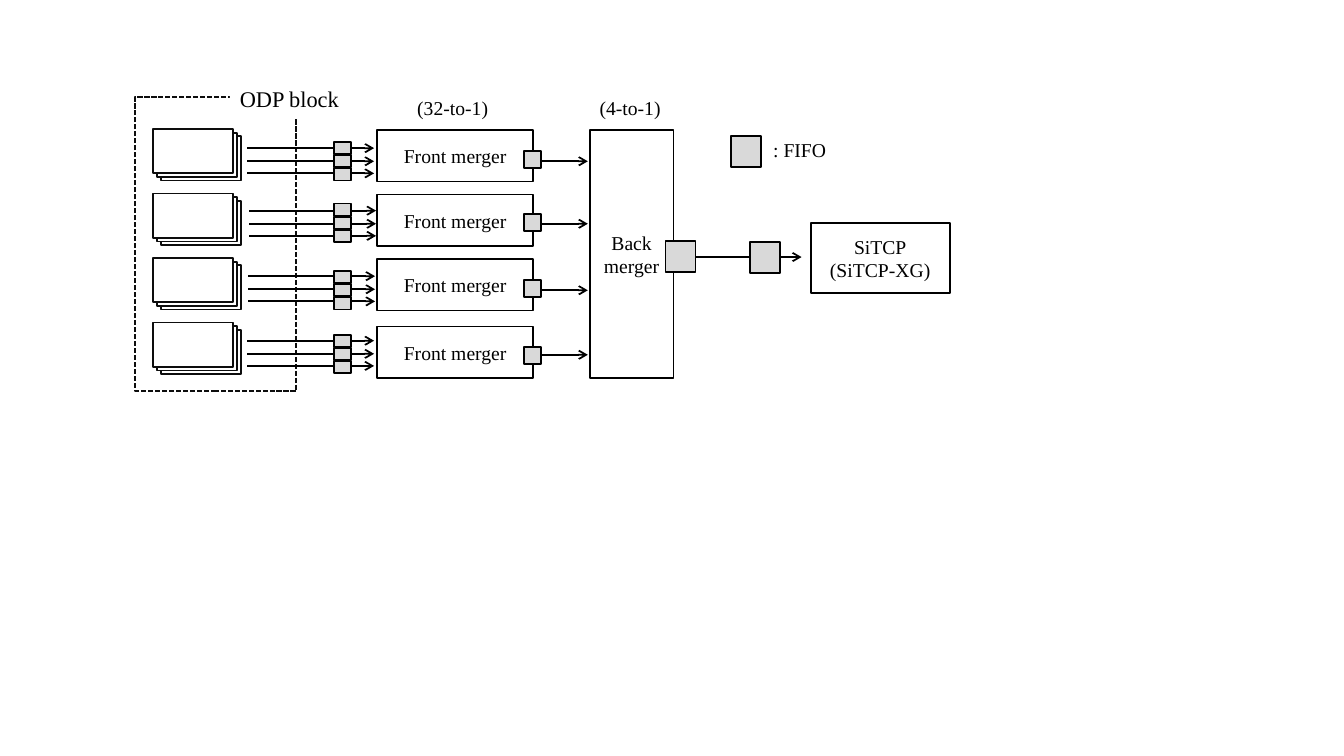
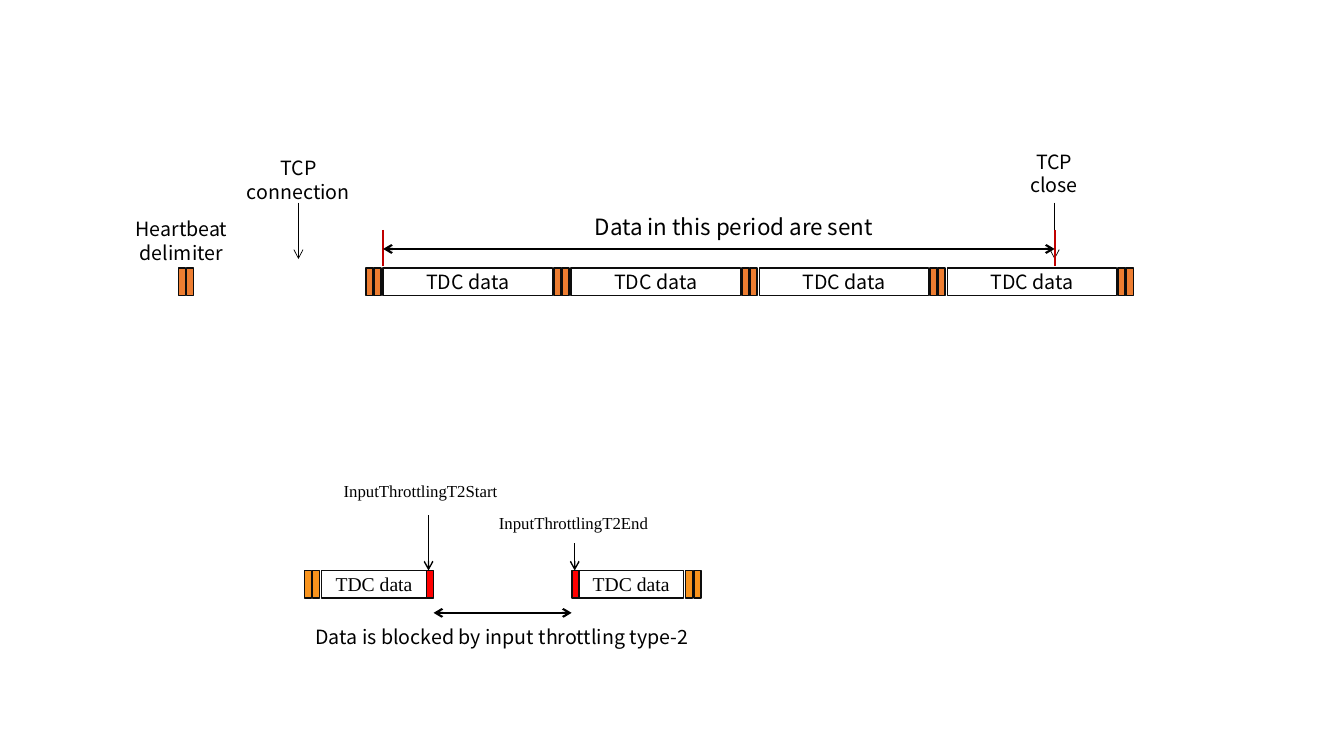
from typing import NamedTuple

from lxml.etree import SubElement
from pptx import Presentation
from pptx.dml.color import RGBColor
from pptx.enum.dml import MSO_LINE
from pptx.enum.shapes import MSO_CONNECTOR, MSO_SHAPE
from pptx.enum.text import MSO_ANCHOR, PP_ALIGN
from pptx.oxml.ns import qn
from pptx.util import Inches, Pt

COLORS = {
    "black": "000000",
    "outline": "0D0D0D",
    "white": "FFFFFF",
    "fifo": "D9D9D9",
    "delimiter": "ED7D31",
    "throttled": "F8931D",
    "throttle": "FF0000",
    "period": "C00000",
}
SERIF = "Times New Roman"
SANS = "Noto Sans CJK JP"
SANS_LINE_RATIO = 1.22


class MergerRow(NamedTuple):
    card_top: float
    merger_top: float
    input_left: float
    input_y: float
    fifo_top: float
    output_y: float
    output_fifo_top: float


MERGER_ROWS = [
    MergerRow(1.28, 1.29, 2.45, 1.47, 1.41, 1.6, 1.5),
    MergerRow(1.92, 1.93, 2.47, 2.09, 2.02, 2.22, 2.12),
    MergerRow(2.56, 2.57, 2.46, 2.74, 2.69, 2.88, 2.78),
    MergerRow(3.2, 3.24, 2.45, 3.38, 3.32, 3.52, 3.44),
]


class Diagram:
    def __init__(self, presentation):
        self.presentation = presentation
        self.slide = None

    def new_slide(self):
        self.slide = self.presentation.slides.add_slide(self.presentation.slide_layouts[6])

    def color(self, name):
        return RGBColor.from_string(COLORS[name])

    def set_text(self, frame, lines, font, size, align):
        frame.word_wrap = True
        for index, line in enumerate(lines):
            paragraph = frame.paragraphs[0] if index == 0 else frame.add_paragraph()
            paragraph.text = line
            paragraph.alignment = align
            paragraph.font.name = font
            paragraph.font.size = Pt(size)
            paragraph.font.color.rgb = self.color("black")
            if font == SANS:
                paragraph.line_spacing = Pt(round(size * SANS_LINE_RATIO, 1))

    def box(self, left, top, width, height, fill="white", line="black", weight=1.25,
            lines=(), font=SERIF, size=14, dashed=False):
        shape = self.slide.shapes.add_shape(
            MSO_SHAPE.RECTANGLE, Inches(left), Inches(top), Inches(width), Inches(height))
        shape.shadow.inherit = False
        shape.fill.solid()
        shape.fill.fore_color.rgb = self.color(fill)
        shape.line.color.rgb = self.color(line)
        shape.line.width = Pt(weight)
        if dashed:
            shape.line.dash_style = MSO_LINE.SQUARE_DOT
        shape.text_frame.vertical_anchor = MSO_ANCHOR.MIDDLE
        self.set_text(shape.text_frame, lines, font, size, PP_ALIGN.CENTER)

    def label(self, left, top, width, height, lines, font=SERIF, size=14,
              align=PP_ALIGN.CENTER, fill=None):
        shape = self.slide.shapes.add_textbox(
            Inches(left), Inches(top), Inches(width), Inches(height))
        if fill:
            shape.fill.solid()
            shape.fill.fore_color.rgb = self.color(fill)
        self.set_text(shape.text_frame, lines, font, size, align)

    def line(self, start, end, color="black", weight=1.25, ends=("tailEnd",)):
        connector = self.slide.shapes.add_connector(
            MSO_CONNECTOR.STRAIGHT, *(Inches(value) for value in (*start, *end)))
        connector.line.color.rgb = self.color(color)
        connector.line.width = Pt(weight)
        outline = connector._element.spPr.find(qn("a:ln"))
        for end_name in ends:
            SubElement(outline, qn(f"a:{end_name}"), type="arrow")
        SubElement(connector._element.spPr, qn("a:effectLst"))

    def fifo(self, left, top, width, height):
        self.box(left, top, width, height, fill="fifo")

    def merger_row(self, row):
        for offset in (0.08, 0.04, 0):
            self.box(1.52 + offset, row.card_top + offset * 0.9, 0.79, 0.44, line="outline")
        for offset in (0, 0.13, 0.25):
            y = row.input_y + offset
            self.line((row.input_left, y), (row.input_left + 1.26, y))
        for index in range(3):
            self.fifo(3.31, row.fifo_top + 0.13 * index, 0.17, 0.12)
        self.box(3.74, row.merger_top, 1.55, 0.51, lines=["Front merger"])
        self.line((5.32, row.output_y), (5.83, row.output_y))
        self.fifo(5.2, row.output_fifo_top, 0.17, 0.17)

    def marker(self, left, top, fill, weight):
        self.box(left, top, 0.07, 0.27, fill=fill, line="outline", weight=weight)

    def delimiter(self, left, top, fill="delimiter", weight=1):
        for offset in (0, 0.08):
            self.marker(left + offset, top, fill, weight)

    def tdc_data(self, left, top, width, font, weight):
        self.box(left, top, width, 0.27, line="outline", weight=weight,
                 lines=["TDC data"], font=font)


def build_merger_slide(diagram):
    diagram.new_slide()
    diagram.box(1.34, 0.96, 1.6, 2.92, line="outline", dashed=True)
    diagram.label(2.28, 0.8, 1.39, 0.37, ["ODP block"], size=16,
                  align=PP_ALIGN.LEFT, fill="white")
    diagram.box(5.85, 1.29, 0.83, 2.46, lines=["Back", "merger"])
    for row in MERGER_ROWS:
        diagram.merger_row(row)
    diagram.box(8.04, 2.21, 1.38, 0.7, lines=["SiTCP", "(SiTCP-XG)"])
    diagram.line((6.78, 2.55), (7.95, 2.55))
    for left, top in ((6.6, 2.39), (7.44, 2.4), (7.25, 1.35)):
        diagram.fifo(left, top, 0.3, 0.31)
    diagram.label(7.57, 1.32, 1.38, 0.34, [": FIFO"], align=PP_ALIGN.LEFT)
    diagram.label(3.8, 0.9, 1.38, 0.34, ["(32-to-1)"])
    diagram.label(5.56, 0.9, 1.38, 0.34, ["(4-to-1)"])


def build_timing_slide(diagram):
    diagram.new_slide()
    both_ends = ("headEnd", "tailEnd")
    stream_top, stream_left, heartbeat_pitch = 2.66, 3.63, 1.865
    for index in range(5):
        left = stream_left + heartbeat_pitch * index
        diagram.delimiter(left, stream_top)
        if index < 4:
            diagram.tdc_data(left + 0.17, stream_top, 1.68, SANS, 1)
    diagram.delimiter(1.77, stream_top)
    diagram.label(0.91, 2.1, 1.78, 0.57, ["Heartbeat", "delimiter"], SANS)
    diagram.label(2.29, 1.49, 1.34, 0.57, ["TCP", "connection"], SANS)
    diagram.label(9.93, 1.43, 1.05, 0.57, ["TCP", "close"], SANS)

    period_start, period_end = 3.8, 10.46
    for x in (2.96, period_end):
        diagram.line((x, 2.01), (x, 2.57), weight=0.5)
    for x in (period_start, period_end):
        diagram.line((x, 2.28), (x, 2.64), "period", 1.5, ends=())
    diagram.line((period_start, 2.47), (period_end, 2.47), weight=1.5, ends=both_ends)
    diagram.label(5.8, 2.06, 3.46, 0.37, ["Data in this period are sent"], SANS, 16,
                  PP_ALIGN.LEFT)

    throttled_top = 5.66
    for delimiter_left, data_left, throttle_left in ((3.02, 3.19, 4.23), (6.8, 5.74, 5.67)):
        diagram.delimiter(delimiter_left, throttled_top, "throttled", 1.25)
        diagram.tdc_data(data_left, throttled_top, 1.04, SERIF, 1.25)
        diagram.marker(throttle_left, throttled_top, "throttle", 1.25)
    for x, arrow_top, label_left, label_top, text in (
            (4.25, 5.11, 3.31, 4.72, "InputThrottlingT2Start"),
            (5.7, 5.39, 4.85, 5.04, "InputThrottlingT2End")):
        diagram.line((x, arrow_top), (x, throttled_top), weight=1)
        diagram.label(label_left, label_top, 1.93, 0.3, [text], size=12,
                      align=PP_ALIGN.LEFT)
    diagram.line((4.3, 6.08), (5.67, 6.08), weight=1.5, ends=both_ends)
    diagram.label(2.07, 6.15, 5.82, 0.34,
                  ["Data is blocked by input throttling type-2"], SANS)


def main():
    presentation = Presentation()
    presentation.slide_width = Inches(13.33)
    presentation.slide_height = Inches(7.5)
    diagram = Diagram(presentation)
    build_merger_slide(diagram)
    build_timing_slide(diagram)
    presentation.save("out.pptx")


if __name__ == "__main__":
    main()
